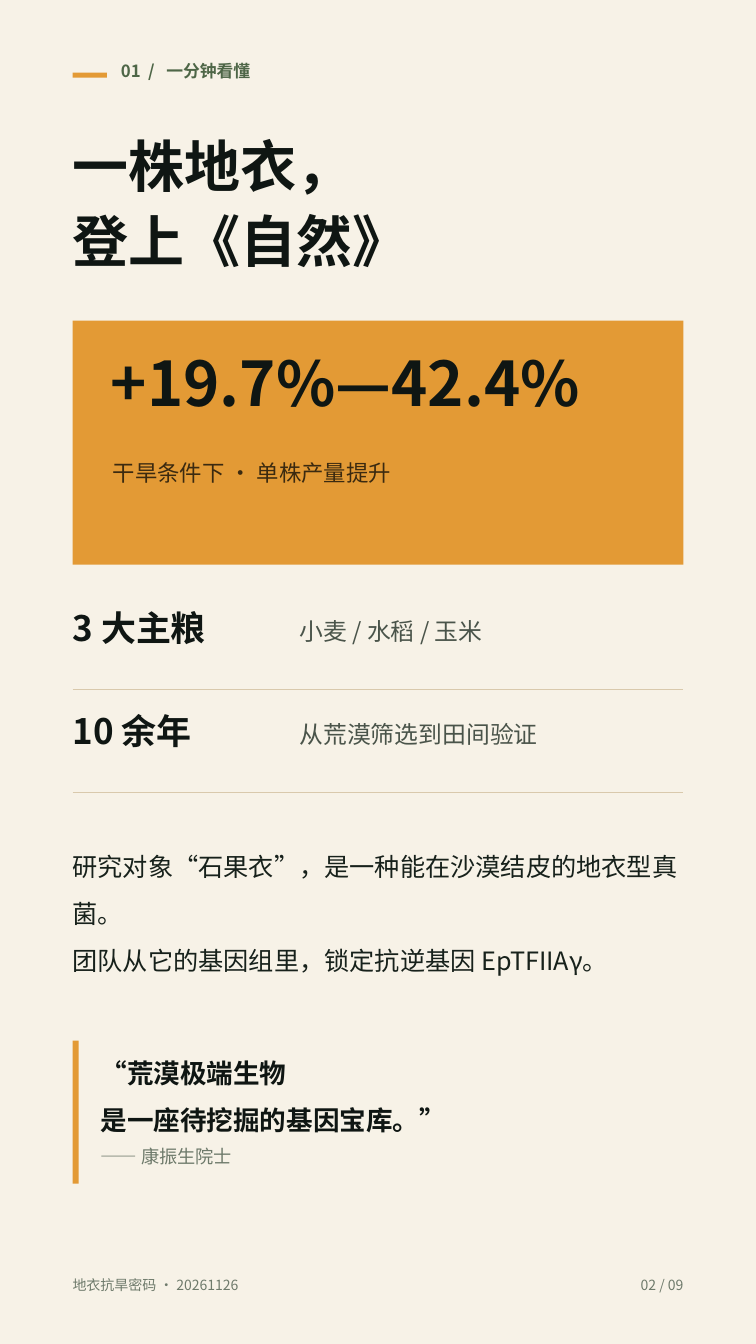
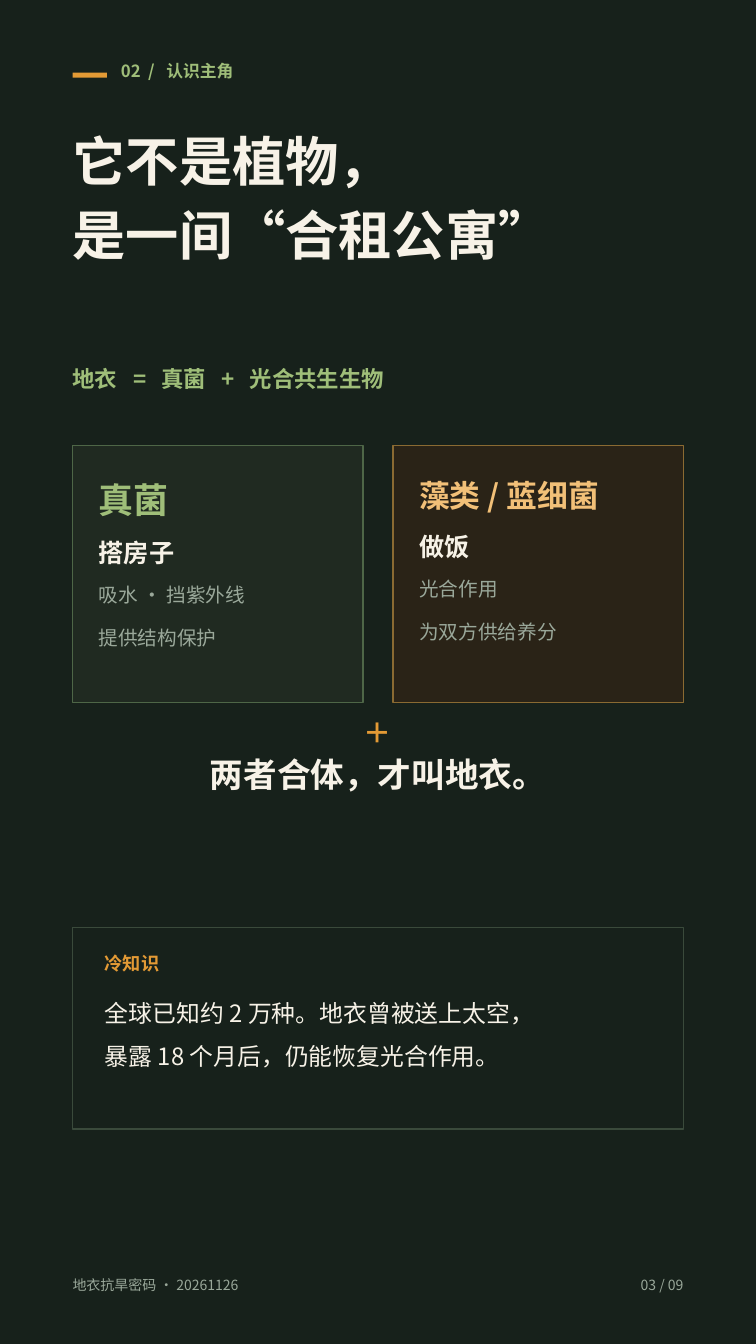
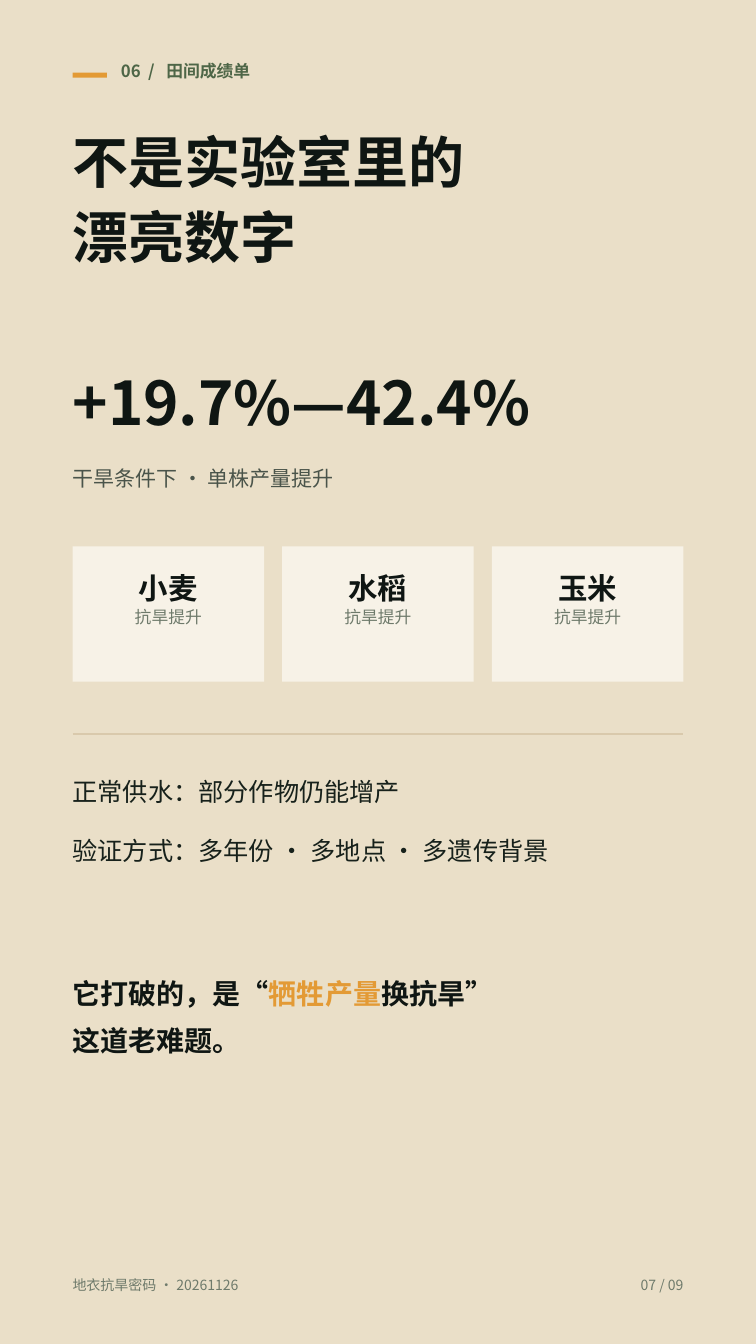
import lxml.etree
import pptx
import pptx.dml.color
import pptx.enum.lang
import pptx.enum.shapes
import pptx.enum.text
import pptx.oxml.ns
import pptx.util

Inches = pptx.util.Inches
ALIGN = pptx.enum.text.PP_ALIGN

FONT = "Noto Sans CJK SC"
LEFT, WIDE = 0.72, 6.06
RIGHT = LEFT + WIDE

AMBER, GOLD = "E39A35", "F2C078"
CREAM, SAND, RULE = "F7F2E7", "EADFC8", "D9C9AC"
INK, PINE = "0F1613", "17211B"
MOSS, LEAF = "4E6647", "9FBE79"
SLATE, GREY, MIST = "4A544A", "6E7A6B", "9AA89A"


def color(code):
    return pptx.dml.color.RGBColor.from_string(code)


def add_node(parent, tag, **attrs):
    return lxml.etree.SubElement(parent, pptx.oxml.ns.qn(tag), **attrs)


def write(frame, text, size=18, ink=INK, bold=False, align=ALIGN.LEFT,
          line=1.0, before=0, tabs=()):
    """Add one paragraph; text is a string or a list of (string, colour) runs."""
    para = frame.add_paragraph() if frame.text else frame.paragraphs[0]
    if tabs:
        stops = add_node(para._p.get_or_add_pPr(), "a:tabLst")
        for stop in tabs:
            add_node(stops, "a:tab", pos=str(Inches(stop)), algn="l")
    para.alignment = align
    para.line_spacing = line
    para.space_before = pptx.util.Pt(before)
    for part, tint in [(text, ink)] if isinstance(text, str) else text:
        run = para.add_run()
        run.text = part
        font = run.font
        font.size = pptx.util.Pt(size)
        font.bold = bold
        font.color.rgb = color(tint)
        font.name = FONT
        font.language_id = pptx.enum.lang.MSO_LANGUAGE_ID.SIMPLIFIED_CHINESE
        add_node(run._r.get_or_add_rPr(), "a:ea", typeface=FONT)


class Deck:
    """Holds the shared style and the slide being built."""

    def __init__(self):
        self.file = pptx.Presentation()
        self.file.slide_width = Inches(7.5)
        self.file.slide_height = Inches(13.33)

    def start(self, back, tag, label, page, mark=MOSS, note=GREY):
        """Open a slide with its background, top label and footer."""
        self.slide = self.file.slides.add_slide(self.file.slide_layouts[1])
        fill = self.slide.background.fill
        fill.solid()
        fill.fore_color.rgb = color(back)
        self.rect(LEFT, 0.72, 0.34, 0.05, AMBER)
        self.text(1.2, 0.6, 5, 0.34, f"{tag}\t/\t{label}", size=12, ink=mark,
                  bold=True, tabs=(0.27, 0.45))
        self.text(LEFT, 12.66, 3.6, 0.3, "地衣抗旱密码 · 20261126", size=10, ink=note)
        self.text(RIGHT - 1.2, 12.66, 1.2, 0.3, f"{page} / 09", size=10, ink=note,
                  align=ALIGN.RIGHT)

    def place(self, shape, left, top, width, height):
        """Move a text shape, clear its insets and return its frame."""
        shape.left, shape.top = Inches(left), Inches(top)
        shape.width, shape.height = Inches(width), Inches(height)
        frame = shape.text_frame
        frame.margin_left = frame.margin_right = 0
        frame.margin_top = frame.margin_bottom = 0
        frame.auto_size = pptx.enum.text.MSO_AUTO_SIZE.NONE
        frame.vertical_anchor = pptx.enum.text.MSO_ANCHOR.TOP
        frame.word_wrap = True
        return frame

    def title(self, top, lines, size=40, ink=INK, line=1.12):
        frame = self.place(self.slide.shapes.title, LEFT, top, WIDE, 2)
        for text in lines:
            write(frame, text, size=size, ink=ink, bold=True, line=line)

    def body(self, left, top, width, height, lines, **style):
        """Fill the body placeholder; each line is a text and its own format."""
        frame = self.place(self.slide.placeholders[1], left, top, width, height)
        for text, more in lines:
            write(frame, text, **{**style, **more})
        for para in frame.paragraphs:
            props = para._p.get_or_add_pPr()
            props.set("marL", "0")
            props.set("indent", "0")
            add_node(props, "a:buNone")

    def text(self, left, top, width, height, text="", **style):
        box = self.slide.shapes.add_textbox(0, 0, 0, 0)
        frame = self.place(box, left, top, width, height)
        if text:
            write(frame, text, **style)
        return frame

    def rect(self, left, top, width, height, fill=None, edge=None):
        shape = self.slide.shapes.add_shape(
            pptx.enum.shapes.MSO_SHAPE.RECTANGLE,
            Inches(left), Inches(top), Inches(width), Inches(height))
        shape.shadow.inherit = False
        if fill:
            shape.fill.solid()
            shape.fill.fore_color.rgb = color(fill)
        else:
            shape.fill.background()
        if edge:
            shape.line.color.rgb = color(edge)
            shape.line.width = pptx.util.Pt(1)
        else:
            shape.line.fill.background()

    def rule(self, top, weight=0.9):
        line = self.slide.shapes.add_connector(
            pptx.enum.shapes.MSO_CONNECTOR.STRAIGHT,
            Inches(LEFT), Inches(top), Inches(RIGHT), Inches(top))
        line.line.color.rgb = color(RULE)
        line.line.width = pptx.util.Pt(weight)
        add_node(line._element.spPr, "a:effectLst")


def make_brief(deck):
    deck.start(CREAM, "01", "一分钟看懂", "02")
    deck.title(1.22, ("一株地衣，", "登上《自然》"))

    deck.rect(LEFT, 3.18, WIDE, 2.42, AMBER)
    deck.text(1.1, 3.42, 5.36, 1, "+19.7%—42.4%", size=44, bold=True)
    deck.text(1.12, 4.55, 5.36, 0.5, "干旱条件下 · 单株产量提升", size=16, ink="3B2A10")

    facts = (("3 大主粮", "小麦 / 水稻 / 玉米"), ("10 余年", "从荒漠筛选到田间验证"))
    for row, (name, note) in enumerate(facts):
        top = 6.02 + 1.02 * row
        deck.text(LEFT, top, 2.1, 0.5, name, size=25, bold=True)
        deck.text(2.97, top + 0.1, 3.81, 0.4, note, size=17, ink=SLATE)
        deck.rule(top + 0.82)

    deck.body(LEFT, 8.28, WIDE, 1.5, (
        ("研究对象“石果衣”，是一种能在沙漠结皮的地衣型真菌。", {}),
        ("团队从它的基因组里，锁定抗逆基因 EpTFIIAγ。", {}),
    ), ink=PINE, line=1.55)

    deck.rect(LEFT, 10.32, 0.06, 1.42, AMBER)
    quote = deck.text(1, 10.32, 5.71, 1.4)
    for text in ("“荒漠极端生物", "是一座待挖掘的基因宝库。”"):
        write(quote, text, size=19, bold=True, line=1.5)
    write(quote, "—— 康振生院士", size=13, ink=GREY, line=1.4)


def make_intro(deck):
    deck.start(PINE, "02", "认识主角", "03", mark=LEAF, note=MIST)
    deck.title(1.18, ("它不是植物，", "是一间“合租公寓”"), size=38, ink=CREAM, line=1.15)
    deck.text(LEFT, 3.62, WIDE, 0.4, "地衣\t=\t真菌\t+\t光合共生生物", size=16,
              ink=LEAF, bold=True, tabs=(0.6, 0.88, 1.48, 1.76))

    cards = (
        ("真菌", 25, LEAF, "202A21", MOSS, "搭房子", "吸水 · 挡紫外线", "提供结构保护"),
        ("藻类 / 蓝细菌", 22, GOLD, "2A2317", "8A6A32", "做饭", "光合作用", "为双方供给养分"),
    )
    for col, (name, size, ink, fill, edge, job, note, more) in enumerate(cards):
        left = LEFT + 3.18 * col
        deck.rect(left, 4.42, 2.88, 2.55, fill, edge)
        card = deck.text(left + 0.26, 4.66, 2.43, 2.1, name, size=size, ink=ink,
                         bold=True, line=1.2)
        write(card, job, size=18, ink=CREAM, bold=True, line=1.3, before=6)
        write(card, note, size=14, ink=MIST, line=1.3, before=6)
        write(card, more, size=14, ink=MIST, line=1.35, before=8)

    deck.text(LEFT, 7.1, WIDE, 0.4, "＋", size=20, ink=AMBER, bold=True, align=ALIGN.CENTER)
    deck.text(LEFT, 7.48, WIDE, 0.55, "两者合体，才叫地衣。", size=24, ink=CREAM,
              bold=True, align=ALIGN.CENTER)

    deck.rect(LEFT, 9.2, WIDE, 2, edge="3A4A3B")
    deck.body(1.04, 9.44, 5.44, 1.6, (
        ("冷知识", dict(size=13, ink=AMBER, bold=True, line=1.0)),
        ("全球已知约 2 万种。地衣曾被送上太空，", dict(before=8)),
        ("暴露 18 个月后，仍能恢复光合作用。", {}),
    ), size=17, ink=CREAM, line=1.5)


def make_field(deck):
    deck.start(SAND, "06", "田间成绩单", "07")
    deck.title(1.18, ("不是实验室里的", "漂亮数字"))
    deck.text(LEFT, 3.62, WIDE, 0.9, "+19.7%—42.4%", size=43, bold=True)
    deck.text(LEFT, 4.62, WIDE, 0.4, "干旱条件下 · 单株产量提升", size=15, ink=SLATE)

    for col, crop in enumerate(("小麦", "水稻", "玉米")):
        left = LEFT + 2.08 * col
        deck.rect(left, 5.42, 1.9, 1.34, CREAM)
        card = deck.text(left, 5.6, 1.9, 0.9, crop, size=21, bold=True,
                         align=ALIGN.CENTER, line=1.15)
        write(card, "抗旱提升", size=12, ink=GREY, align=ALIGN.CENTER, line=1.1)

    deck.rule(7.28, 1)
    deck.body(LEFT, 7.55, WIDE, 2.1, (
        ("正常供水：部分作物仍能增产", {}),
        ("验证方式：多年份 · 多地点 · 多遗传背景", dict(before=10)),
    ), ink=PINE, line=1.5)

    close = deck.text(LEFT, 9.55, WIDE, 1.6,
                      [("它打破的，是“", INK), ("牺牲产量", AMBER), ("换抗旱”", INK)],
                      size=20, bold=True, line=1.4)
    write(close, "这道老难题。", size=20, bold=True, line=1.4)


def main():
    deck = Deck()
    for make in (make_brief, make_intro, make_field):
        make(deck)
    deck.file.save("out.pptx")


if __name__ == "__main__":
    main()
